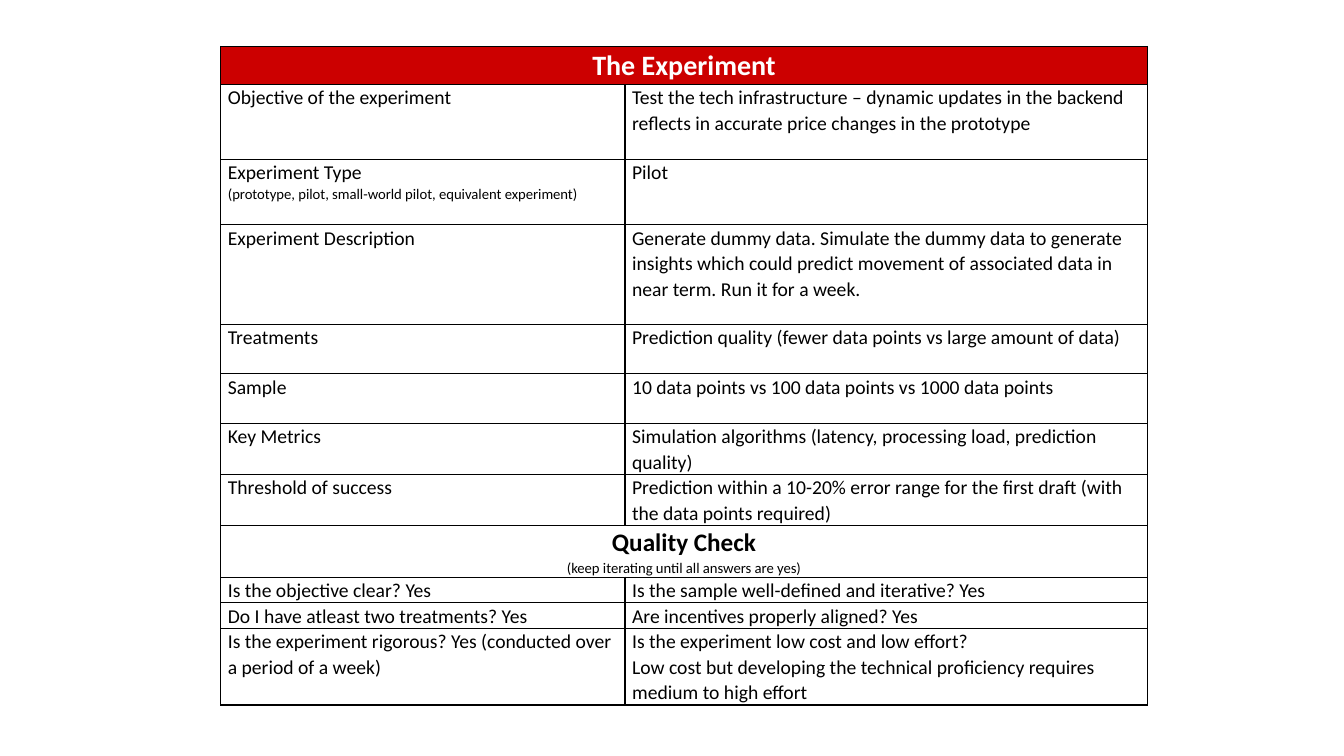
import pptx
import pptx.util
import pptx.dml.color
import pptx.enum.text
import pptx.oxml.ns
import lxml.etree

COLORS = {"header": "CC0000", "header_text": "FFFFFF", "text": "000000", "border": "000000"}
FONT = "Calibri"

prs = pptx.Presentation()
prs.slide_width = pptx.util.Inches(13.33)
prs.slide_height = pptx.util.Inches(7.5)
s = prs.slides.add_slide(prs.slide_layouts[6])


def across(percent):
    return round(prs.slide_width * percent / 100)


def down(percent):
    return round(prs.slide_height * percent / 100)


rows = [
    (5.07, ["The Experiment"]),
    (9.87, ["Objective of the experiment",
            "Test the tech infrastructure – dynamic updates in the backend reflects in accurate price changes in the prototype"]),
    (8.67, ["Experiment Type\v(prototype, pilot, small-world pilot, equivalent experiment)", "Pilot"]),
    (13.2, ["Experiment Description",
            "Generate dummy data. Simulate the dummy data to generate insights which could predict movement of associated data in near term. Run it for a week."]),
    (6.53, ["Treatments", "Prediction quality (fewer data points vs large amount of data)"]),
    (6.53, ["Sample", "10 data points vs 100 data points vs 1000 data points"]),
    (6.53, ["Key Metrics", "Simulation algorithms (latency, processing load, prediction quality)"]),
    (6.53, ["Threshold of success",
            "Prediction within a 10-20% error range for the first draft (with the data points required)"]),
    (6.8, ["Quality Check\v(keep iterating until all answers are yes)"]),
    (3.2, ["Is the objective clear? Yes", "Is the sample well-defined and iterative? Yes"]),
    (3.2, ["Do I have atleast two treatments? Yes", "Are incentives properly aligned? Yes"]),
    (9.87, ["Is the experiment rigorous? Yes (conducted over a period of a week)",
            "Is the experiment low cost and low effort?\vLow cost but developing the technical proficiency requires medium to high effort"]),
]
heading_sizes = {"The Experiment": 20, "Quality Check": 18}
columns = [30.08, 38.86]

table = s.shapes.add_table(len(rows), len(columns), across(16.43), down(6.13),
                           across(sum(columns)), down(sum(h for h, texts in rows))).table
table.first_row = False
table.horz_banding = False
for column, width in zip(table.columns, columns):
    column.width = across(width)

for i, (height, texts) in enumerate(rows):
    table.rows[i].height = down(height)
    is_heading = len(texts) == 1
    if is_heading:
        table.cell(i, 0).merge(table.cell(i, 1))

    for cell in table.rows[i].cells:
        cell.margin_left = cell.margin_right = pptx.util.Inches(0.07)
        cell.margin_top = cell.margin_bottom = 0
        tcPr = cell._tc.get_or_add_tcPr()
        for side in ("a:lnL", "a:lnR", "a:lnT", "a:lnB"):
            ln = lxml.etree.SubElement(tcPr, pptx.oxml.ns.qn(side), w=str(pptx.util.Pt(1)))
            line_fill = lxml.etree.SubElement(ln, pptx.oxml.ns.qn("a:solidFill"))
            lxml.etree.SubElement(line_fill, pptx.oxml.ns.qn("a:srgbClr"), val=COLORS["border"])
        if i == 0:
            cell.fill.solid()
            cell.fill.fore_color.rgb = pptx.dml.color.RGBColor.from_string(COLORS["header"])
        else:
            cell.fill.background()

    for j, text in enumerate(texts):
        p = table.cell(i, j).text_frame.paragraphs[0]
        p.text = text
        p.line_spacing = 1.07
        if is_heading:
            p.alignment = pptx.enum.text.PP_ALIGN.CENTER
        for r in p.runs:
            is_note = r.text.startswith("(")
            r.font.name = FONT
            r.font.size = pptx.util.Pt(10.5 if is_note else heading_sizes.get(r.text, 14))
            r.font.bold = is_heading and not is_note
            r.font.color.rgb = pptx.dml.color.RGBColor.from_string(COLORS["header_text" if i == 0 else "text"])
        for br in p._p.findall(pptx.oxml.ns.qn("a:br")):
            lxml.etree.SubElement(br, pptx.oxml.ns.qn("a:rPr"), sz=str(p.runs[0].font.size.centipoints))

prs.save("out.pptx")
